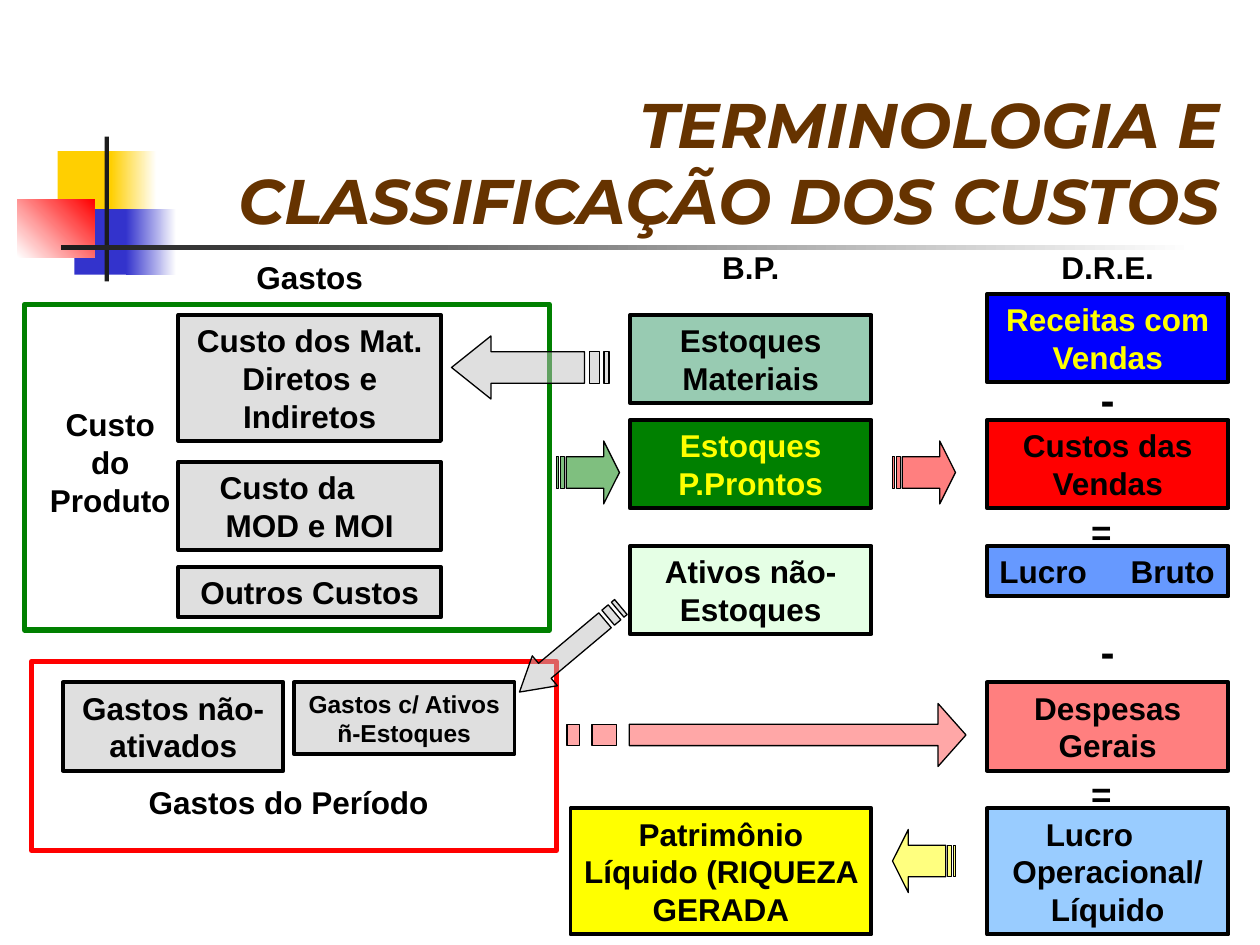
from dataclasses import dataclass
from typing import Optional

from lxml.etree import SubElement
from pptx import Presentation
from pptx.dml.color import RGBColor
from pptx.enum.shapes import MSO_SHAPE
from pptx.enum.text import MSO_ANCHOR, PP_ALIGN
from pptx.oxml.ns import qn
from pptx.util import Pt

BLACK = RGBColor(0x00, 0x00, 0x00)
WHITE = RGBColor(0xFF, 0xFF, 0xFF)
CHARCOAL = RGBColor(0x1C, 0x1C, 0x1C)
GOLD = RGBColor(0xFF, 0xCF, 0x01)
INDIGO = RGBColor(0x33, 0x33, 0xCC)
BROWN = RGBColor(0x66, 0x33, 0x00)
GRAY = RGBColor(0xC0, 0xC0, 0xC0)
RED = RGBColor(0xFF, 0x00, 0x00)
CORAL = RGBColor(0xFF, 0x50, 0x50)
GREEN = RGBColor(0x00, 0x80, 0x00)
SEA_GREEN = RGBColor(0x33, 0x99, 0x66)
PALE_GREEN = RGBColor(0xCC, 0xFF, 0xCC)
YELLOW = RGBColor(0xFF, 0xFF, 0x00)
BLUE = RGBColor(0x00, 0x00, 0xFF)
MEDIUM_BLUE = RGBColor(0x66, 0x99, 0xFF)
LIGHT_BLUE = RGBColor(0x99, 0xCC, 0xFF)

# Columns (left, width) and the usual height of a two-line box
COST = (102, 150)
BALANCE = (360, 138)
RESULT = (564, 138)
TWO_LINES, THREE_LINES, ONE_LINE = 50.4, 72, 28.8


@dataclass(frozen=True)
class Area:
    left: float
    top: float
    width: float
    height: float

    def lengths(self) -> tuple:
        return Pt(self.left), Pt(self.top), Pt(self.width), Pt(self.height)


@dataclass(frozen=True)
class Line:
    """One paragraph; a left margin makes it left-aligned."""
    text: str
    margin: Optional[float] = None
    tab: Optional[float] = None


@dataclass(frozen=True)
class Box:
    column: tuple
    top: float
    height: float
    lines: tuple
    fill: RGBColor
    opacity: int = 100
    color: RGBColor = BLACK
    size: float = 18


@dataclass(frozen=True)
class Label:
    area: Area
    text: str
    size: float = 18


@dataclass(frozen=True)
class StripedArrow:
    area: Area
    fill: RGBColor
    rotation: float = 0
    neck: float = 0.75   # share of the width where the head begins
    inset: float = 0.25  # share of the height above the shaft


@dataclass(frozen=True)
class Ornament:
    area: Area
    start: RGBColor
    end: Optional[RGBColor] = None
    angle: float = 0


ORNAMENTS = (
    Ornament(Area(33, 86.4, 35, 37.4), GOLD),
    Ornament(Area(63.4, 86.4, 26, 37.4), GOLD, WHITE),
    Ornament(Area(42.5, 119.5, 33, 37.4), INDIGO),
    Ornament(Area(72, 119.5, 28.8, 37.4), INDIGO, WHITE),
    Ornament(Area(10, 113.8, 44, 33.1), WHITE, RED, 45),
    Ornament(Area(59.8, 78, 2.5, 82.8), CHARCOAL),
    Ornament(Area(34.6, 140.2, 648, 2.4), CHARCOAL, WHITE),
)

BOXES = (
    Box(COST, 180, THREE_LINES, (Line("Custo dos Mat. Diretos e Indiretos"),), GRAY, 50),
    Box(COST, 264, TWO_LINES, (Line("Custo da", 16.5), Line("MOD e MOI")), GRAY, 50),
    Box(COST, 324, ONE_LINE, (Line("Outros Custos"),), GRAY, 50),
    Box((36, 126), 390, TWO_LINES, (Line("Gastos não-ativados"),), GRAY, 50),
    Box((168, 126), 390, 41, (Line("Gastos c/ Ativos ñ-Estoques"),), GRAY, 50, size=14),
    Box(BALANCE, 180, TWO_LINES, (Line("Estoques Materiais"),), SEA_GREEN, 50),
    Box(BALANCE, 240, TWO_LINES, (Line("Estoques P.Prontos"),), GREEN, color=YELLOW),
    Box(BALANCE, 312, TWO_LINES, (Line("Ativos não-Estoques"),), PALE_GREEN, 50),
    Box((326, 172), 462, THREE_LINES, (Line("Patrimônio Líquido (RIQUEZA GERADA"),), YELLOW),
    Box(RESULT, 168, TWO_LINES, (Line("Receitas com Vendas"),), BLUE, color=YELLOW),
    Box(RESULT, 240, TWO_LINES, (Line("Custos das Vendas"),), RED),
    Box(RESULT, 312, ONE_LINE, (Line("Lucro\tBruto", 0, 75),), MEDIUM_BLUE),
    Box(RESULT, 390, TWO_LINES, (Line("Despesas Gerais"),), RED, 50),
    Box(RESULT, 462, THREE_LINES, (Line("Lucro", 26.5), Line("Operacional/ Líquido")), LIGHT_BLUE),
)

LABELS = (
    Label(Area(102, 144, 150, 28.8), "Gastos"),
    Label(Area(360, 138, 138, 28.8), "B.P."),
    Label(Area(564, 138, 138, 28.8), "D.R.E."),
    Label(Area(18, 228, 90, 72), "Custo do Produto"),
    Label(Area(36, 444, 258, 28.8), "Gastos do Período"),
    Label(Area(564, 210, 138, 36), "-", 24),
    Label(Area(564, 354, 138, 36), "-", 24),
    Label(Area(612, 288, 34.6, 31.7), "=", 20),
    Label(Area(612, 438, 34.6, 31.7), "=", 20),
)

FRAMES = ((Area(14, 174, 300, 186), GREEN), (Area(18, 378, 300, 108), RED))

ARROWS = (
    StripedArrow(Area(318, 252, 36, 36), GREEN),
    StripedArrow(Area(510, 252, 36, 36), RED),
    StripedArrow(Area(510, 474, 36, 36), YELLOW, 180),
    StripedArrow(Area(258, 192, 90, 36), GRAY, 180),
    StripedArrow(Area(324, 402, 228, 36), CORAL, neck=0.93, inset=0.33),
    StripedArrow(Area(288, 360, 75.6, 22.3), GRAY, 140),
)


def paint(shape, color: RGBColor, opacity: int = 100) -> None:
    shape.shadow.inherit = False
    shape.fill.solid()
    shape.fill.fore_color.rgb = color
    if opacity < 100:
        color_element = shape.fill._xPr.find(qn("a:solidFill"))[0]
        SubElement(color_element, qn("a:alpha")).set("val", str(opacity * 1000))


def outline(shape, color: RGBColor, width: float) -> None:
    shape.line.color.rgb = color
    shape.line.width = Pt(width)


def write(shape, lines, size, color=BLACK, font="Arial", align=PP_ALIGN.CENTER,
          anchor=MSO_ANCHOR.TOP, italic=False) -> None:
    frame = shape.text_frame
    frame.word_wrap = True
    frame.vertical_anchor = anchor
    for index, line in enumerate(lines):
        paragraph = frame.add_paragraph() if index else frame.paragraphs[0]
        paragraph.alignment = align
        if line.margin is not None:
            paragraph.alignment = PP_ALIGN.LEFT
            properties = paragraph._p.get_or_add_pPr()
            properties.set("marL", str(Pt(line.margin)))
            if line.tab is not None:
                stops = SubElement(properties, qn("a:tabLst"))
                SubElement(stops, qn("a:tab"), pos=str(Pt(line.tab)), algn="l")
        run = paragraph.add_run()
        run.text = line.text
        run.font.name = font
        run.font.size = Pt(size)
        run.font.bold = True
        run.font.italic = italic
        run.font.color.rgb = color


def add_rectangle(slide, area: Area):
    return slide.shapes.add_shape(MSO_SHAPE.RECTANGLE, *area.lengths())


def draw_ornament(slide, ornament: Ornament) -> None:
    shape = add_rectangle(slide, ornament.area)
    paint(shape, ornament.start)
    shape.line.fill.background()
    if ornament.end is not None:
        shape.fill.gradient()
        shape.fill.gradient_angle = ornament.angle
        for stop, color, position in zip(shape.fill.gradient_stops,
                                         (ornament.start, ornament.end), (0, 1)):
            stop.color.rgb = color
            stop.position = position


def draw_box(slide, box: Box) -> None:
    left, width = box.column
    shape = add_rectangle(slide, Area(left, box.top, width, box.height))
    paint(shape, box.fill, box.opacity)
    outline(shape, BLACK, 2.25)
    write(shape, box.lines, box.size, box.color)


def draw_arrow(slide, arrow: StripedArrow) -> None:
    """Draw a right arrow with two tail stripes, then rotate it."""
    area, upper, lower = arrow.area, arrow.inset, 1 - arrow.inset
    body = [(5 / 32, upper), (arrow.neck, upper), (arrow.neck, 0), (1, 0.5),
            (arrow.neck, 1), (arrow.neck, lower), (5 / 32, lower)]
    stripes = [[(start, upper), (end, upper), (end, lower), (start, lower)]
               for start, end in ((0, 1 / 32), (2 / 32, 4 / 32))]
    contours = [[(Pt(area.left + x * area.width), Pt(area.top + y * area.height))
                 for x, y in contour] for contour in (body, *stripes)]
    builder = slide.shapes.build_freeform(*contours[0][0])
    for index, contour in enumerate(contours):
        if index:
            builder.move_to(*contour[0])
        builder.add_line_segments(contour[1:], close=True)
    shape = builder.convert_to_shape()
    shape.rotation = arrow.rotation
    paint(shape, arrow.fill, 50)
    outline(shape, BLACK, 0.75)


def main() -> None:
    presentation = Presentation()
    presentation.slide_width, presentation.slide_height = Pt(720), Pt(540)
    slide = presentation.slides.add_slide(presentation.slide_layouts[6])
    for ornament in ORNAMENTS:
        draw_ornament(slide, ornament)
    title = slide.shapes.add_textbox(*Area(72, 49, 632, 90).lengths())
    write(title, (Line("TERMINOLOGIA E"), Line("CLASSIFICAÇÃO DOS CUSTOS")), 36, BROWN,
          "Montserrat", PP_ALIGN.RIGHT, MSO_ANCHOR.BOTTOM, italic=True)
    for box in BOXES:
        draw_box(slide, box)
    for label in LABELS:
        write(slide.shapes.add_textbox(*label.area.lengths()), (Line(label.text),), label.size)
    for area, color in FRAMES:
        frame = add_rectangle(slide, area)
        frame.shadow.inherit = False
        frame.fill.background()
        outline(frame, color, 3)
    for arrow in ARROWS:
        draw_arrow(slide, arrow)
    presentation.save("out.pptx")


if __name__ == "__main__":
    main()
